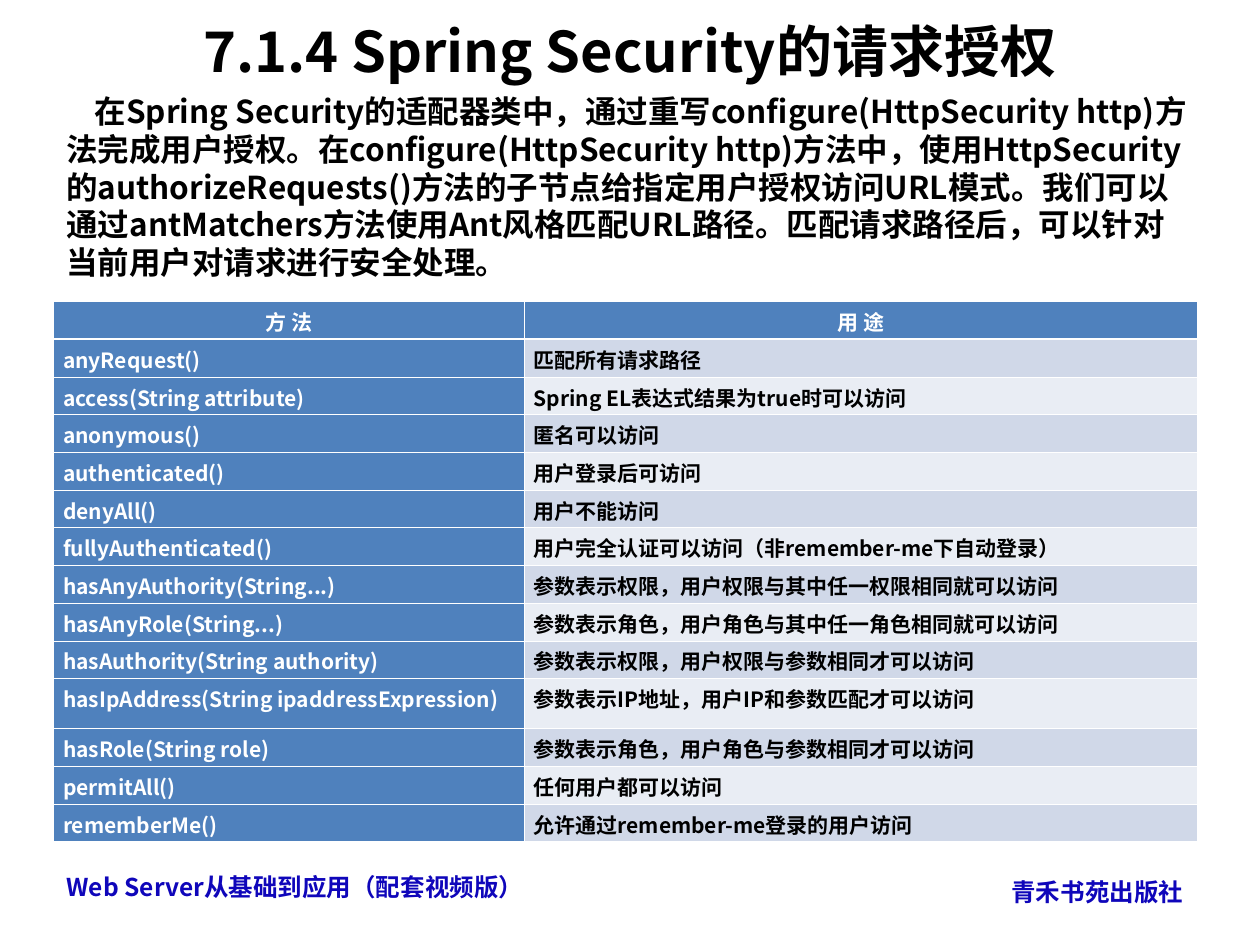
from dataclasses import dataclass

import pptx
import pptx.dml.color
import pptx.enum.text
import pptx.oxml
import pptx.oxml.ns
import pptx.util
from lxml import etree

Cm = pptx.util.Cm
Pt = pptx.util.Pt
Align = pptx.enum.text.PP_ALIGN
Anchor = pptx.enum.text.MSO_ANCHOR


@dataclass(frozen=True)
class Theme:
    font: str = "Noto Sans CJK SC"
    ink: str = "000000"
    white: str = "FFFFFF"
    footer: str = "0F06BA"
    header: str = "4F81BD"
    bands: tuple = ("D0D8E8", "E9EDF4")
    title_size: int = 32
    body_size: int = 18
    footer_size: int = 14
    table_size: int = 12
    line_height: float = 1.2
    border: float = 0.45
    header_border: float = 1.47


THEME = Theme()

METHODS = [
    ("anyRequest()", "匹配所有请求路径"),
    ("access(String attribute)", "Spring EL表达式结果为true时可以访问"),
    ("anonymous()", "匿名可以访问"),
    ("authenticated()", "用户登录后可访问"),
    ("denyAll()", "用户不能访问"),
    ("fullyAuthenticated()", "用户完全认证可以访问（非remember-me下自动登录）"),
    ("hasAnyAuthority(String...)", "参数表示权限，用户权限与其中任一权限相同就可以访问"),
    ("hasAnyRole(String...)", "参数表示角色，用户角色与其中任一角色相同就可以访问"),
    ("hasAuthority(String authority)", "参数表示权限，用户权限与参数相同才可以访问"),
    ("hasIpAddress(String ipaddressExpression)", "参数表示IP地址，用户IP和参数匹配才可以访问"),
    ("hasRole(String role)", "参数表示角色，用户角色与参数相同才可以访问"),
    ("permitAll()", "任何用户都可以访问"),
    ("rememberMe()", "允许通过remember-me登录的用户访问"),
]
TALL_ROW = 10

INTRODUCTION = (
    "在Spring Security的适配器类中，通过重写configure(HttpSecurity http)方法完成用户授权。"
    "在configure(HttpSecurity http)方法中，使用HttpSecurity的authorizeRequests()方法的子节点"
    "给指定用户授权访问URL模式。我们可以通过antMatchers方法使用Ant风格匹配URL路径。"
    "匹配请求路径后，可以针对当前用户对请求进行安全处理。"
)


def rgb(colour):
    return pptx.dml.color.RGBColor.from_string(colour)


def write(frame, text, size, colour, align=Align.LEFT):
    paragraph = frame.paragraphs[0]
    paragraph.alignment = align
    paragraph.line_spacing = Pt(size * THEME.line_height)
    paragraph.space_before = Pt(0)
    run = paragraph.add_run()
    run.text = text
    run.font.name = THEME.font
    run.font.size = Pt(size)
    run.font.bold = True
    run.font.color.rgb = rgb(colour)
    east_asian = etree.SubElement(run.font._element, pptx.oxml.ns.qn("a:ea"))
    east_asian.set("typeface", THEME.font)
    return paragraph


def add_title(slide, text):
    title = slide.shapes.title
    title.left, title.top, title.width, title.height = Cm(1.27), Cm(0.53), Cm(22.86), Cm(0.97)
    title.text_frame.vertical_anchor = Anchor.MIDDLE
    title.text_frame.auto_size = pptx.enum.text.MSO_AUTO_SIZE.NONE
    write(title.text_frame, text, THEME.title_size, THEME.ink, Align.CENTER)


def add_text(slide, text, left, top, width, height, size, colour):
    frame = slide.shapes.add_textbox(Cm(left), Cm(top), Cm(width), Cm(height)).text_frame
    frame.word_wrap = True
    return write(frame, text, size, colour)


def set_borders(cell, row):
    properties = cell._tc.get_or_add_tcPr()
    heavy_side = {0: "B", 1: "T"}.get(row)
    for side in "LRTB":
        weight = THEME.header_border if side == heavy_side else THEME.border
        line = etree.SubElement(properties, pptx.oxml.ns.qn(f"a:ln{side}"), w=str(int(Pt(weight))))
        fill = etree.SubElement(line, pptx.oxml.ns.qn("a:solidFill"))
        etree.SubElement(fill, pptx.oxml.ns.qn("a:srgbClr"), val=THEME.white)


def fill_cell(cell, text, row, column):
    cell.margin_left = cell.margin_right = Cm(0.19)
    cell.margin_top, cell.margin_bottom = Cm(0.2), Cm(0.03)
    on_blue = row == 0 or column == 0
    set_borders(cell, row)
    cell.fill.solid()
    cell.fill.fore_color.rgb = rgb(THEME.header if on_blue else THEME.bands[(row - 1) % 2])
    write(cell.text_frame, text, THEME.table_size, THEME.white if on_blue else THEME.ink,
          Align.CENTER if row == 0 else Align.JUSTIFY)


def add_method_table(slide):
    entries = [("方 法", "用 途")] + METHODS
    table = slide.shapes.add_table(
        len(entries), 2, Cm(1.08), Cm(6.08), Cm(23.05), Cm(10.76)).table
    for column, width in zip(table.columns, (9.49, 13.56)):
        column.width = Cm(width)
    for row, entry in enumerate(entries):
        table.rows[row].height = Cm(1.01 if row == TALL_ROW else 0.76)
        for column, text in enumerate(entry):
            fill_cell(table.cell(row, column), text, row, column)


def main():
    deck = pptx.Presentation()
    deck.slide_width, deck.slide_height = Cm(25.4), Cm(19.05)
    slide = deck.slides.add_slide(deck.slide_layouts[5])
    add_title(slide, "7.1.4 Spring Security的请求授权")
    introduction = add_text(slide, INTRODUCTION, 1.09, 1.73, 23.24, 4.83,
                            THEME.body_size, THEME.ink)
    introduction._p.get_or_add_pPr().set("indent", str(int(Cm(0.57))))
    add_method_table(slide)
    add_text(slide, "Web Server从基础到应用（配套视频版）", 1.09, 17.45, 11, 0.86,
             THEME.footer_size, THEME.footer)
    add_text(slide, "青禾书苑出版社", 20.14, 17.55, 3.99, 0.86,
             THEME.footer_size, THEME.footer)
    deck.save("out.pptx")


if __name__ == "__main__":
    main()
